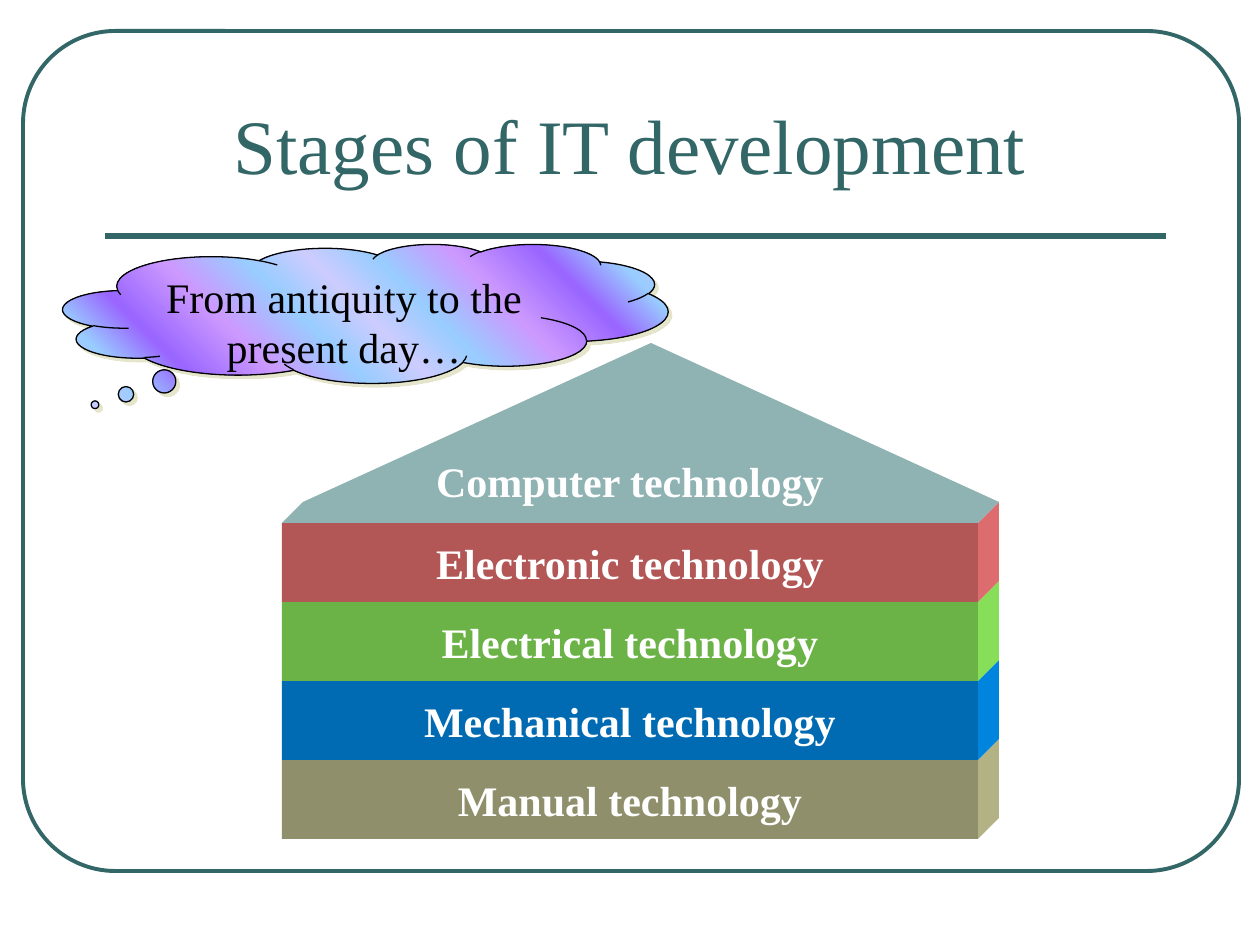
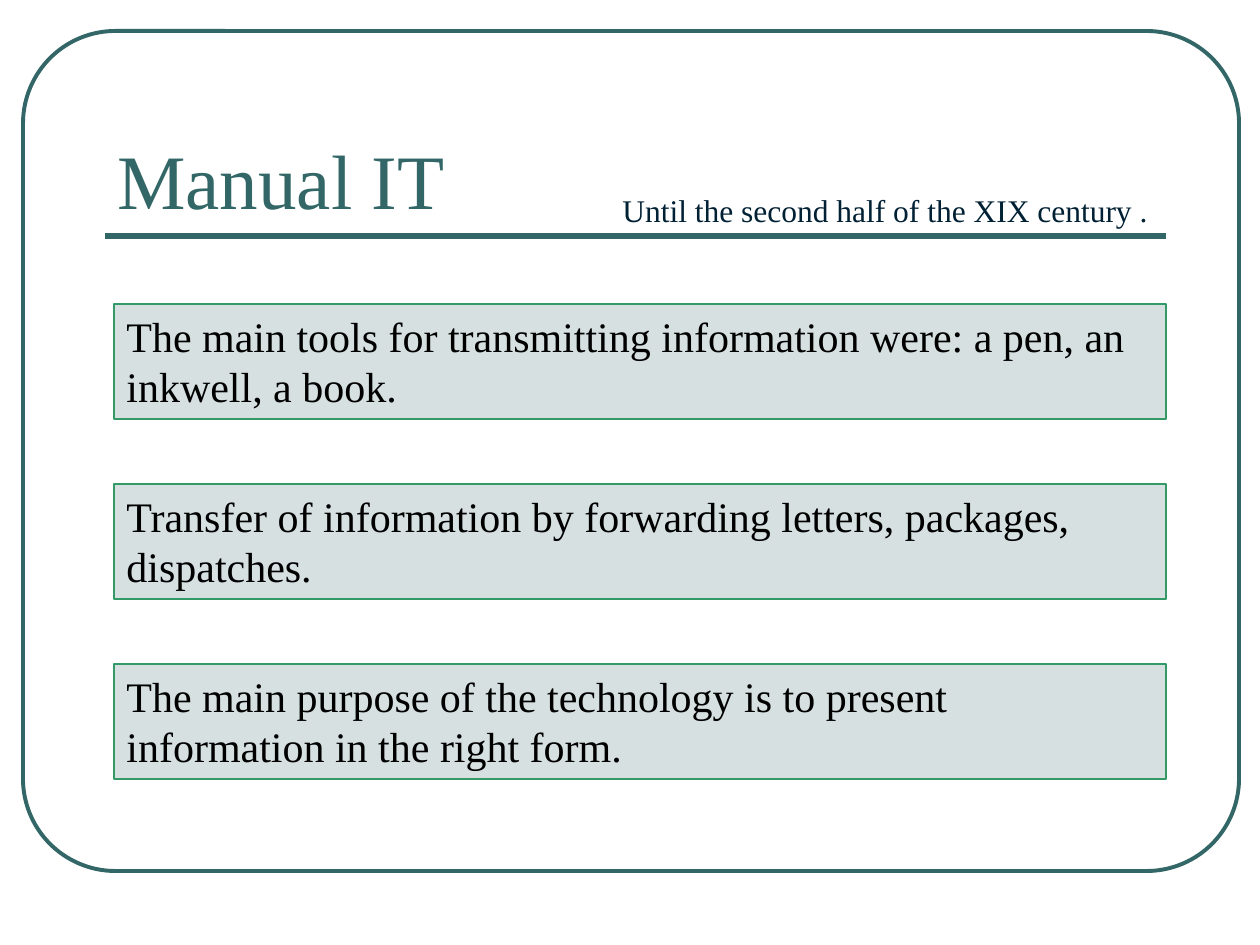
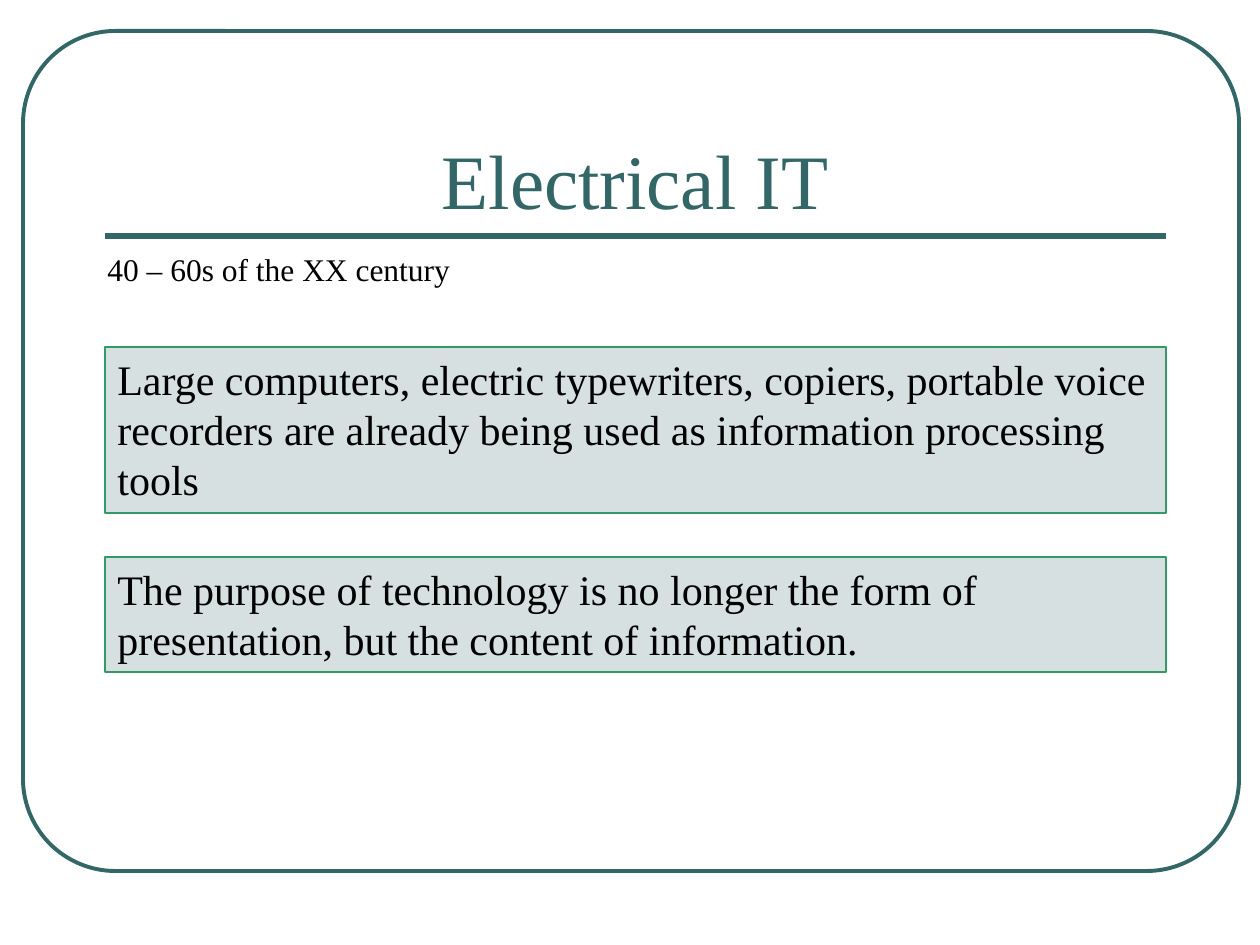
from dataclasses import dataclass

from lxml.etree import SubElement
from pptx import Presentation
from pptx.dml.color import RGBColor
from pptx.enum.shapes import MSO_CONNECTOR, MSO_SHAPE
from pptx.enum.text import MSO_ANCHOR as Anchor, PP_ALIGN as Align
from pptx.oxml.ns import qn
from pptx.util import Pt


@dataclass(frozen=True)
class Theme:
    font: str = "Times New Roman"
    teal: str = "336666"
    ink: str = "000000"
    navy: str = "002033"
    white: str = "FFFFFF"
    note_fill: str = "D6E0E0"
    note_line: str = "339966"
    roof: str = "8FB2B2"
    shade: str = "CCCC99"
    title_size: int = 44
    body_size: int = 24
    caption_size: int = 18


THEME = Theme()
PX = 914400 / 126

# Content: floors from top to bottom with their front and side colours
ROOF_LABEL = "Computer technology"
FLOORS = [
    ("Electronic technology", "B25656", "DD6C6F"),
    ("Electrical technology", "6BB247", "86DE59"),
    ("Mechanical technology", "006BB2", "0085DE"),
    ("Manual technology", "8F8F6B", "B2B285"),
]
CLOUD_TEXT = "From antiquity to the present day…"
CLOUD_STOPS = [
    (0, "CCCCFF"), (9, "99CCFF"), (18, "9966FF"), (30, "CC99FF"),
    (41, "99CCFF"), (50, "CCCCFF"), (59, "99CCFF"), (70, "CC99FF"),
    (82, "9966FF"), (91, "99CCFF"), (100, "CCCCFF"),
]

# Each note is its text and the number of lines it fills
ERAS = [
    dict(
        title="Manual IT", align=Align.LEFT,
        period="Until the second half of the XIX century .",
        period_box=(610, 185, 556, 50), period_color=THEME.navy,
        left=114, top=304, gap=65,
        notes=[
            ("The main tools for transmitting information were: a pen, an inkwell, a book.", 2),
            ("Transfer of information by forwarding letters, packages, dispatches.", 2),
            ("The main purpose of the technology is to present information in the right form.", 2),
        ],
    ),
    dict(
        title="Electrical IT", align=Align.CENTER,
        period="40 – 60s of the XX century",
        period_box=(95, 244, 397, 50), period_color=THEME.ink,
        left=105, top=347, gap=44,
        notes=[
            ("Large computers, electric typewriters, copiers, portable voice recorders "
             "are already being used as information processing tools", 3),
            ("The purpose of technology is no longer the form of presentation, "
             "but the content of information.", 2),
        ],
    ),
]

# Shared layout, in px
FRAME = (23, 31, 1216, 840)
RULE_LEFT, RULE_RIGHT, RULE_Y = 105, 1166, 236
ERA_TITLE = (105, 73, 1061, 158)
STAGES_TITLE = (63, 38, 1134, 158)
CLOUD = (63, 244, 605, 139)
HOUSE_LEFT, HOUSE_RIGHT, EAVES, APEX = 282, 978, 523, 343
FLOOR_HEIGHT, DEPTH = 79, 21
LINE_HEIGHT, NOTE_PADDING = 51, 13


def emu(*lengths):
    return [round(length * PX) for length in lengths]


def paint(shape, fill=None, line=None, width=0.75):
    shape.shadow.inherit = False
    if fill:
        shape.fill.solid()
        shape.fill.fore_color.rgb = RGBColor.from_string(fill)
    else:
        shape.fill.background()
    if line:
        shape.line.color.rgb = RGBColor.from_string(line)
        shape.line.width = Pt(width)
    else:
        shape.line.fill.background()


def write(shape, text, size, color, align=Align.LEFT, anchor=Anchor.TOP, bold=False):
    frame = shape.text_frame
    frame.word_wrap = True
    frame.vertical_anchor = anchor
    paragraph = frame.paragraphs[0]
    paragraph.text = text
    paragraph.alignment = align
    font = paragraph.font
    font.name, font.size, font.bold = THEME.font, Pt(size), bold
    font.color.rgb = RGBColor.from_string(color)


def add_text(slide, box, *style, **options):
    write(slide.shapes.add_textbox(*emu(*box)), *style, **options)


def add_box(slide, box, kind=MSO_SHAPE.RECTANGLE, **colors):
    shape = slide.shapes.add_shape(kind, *emu(*box))
    paint(shape, **colors)
    return shape


def add_outline(slide, points, fill):
    builder = slide.shapes.build_freeform(*points[0], scale=PX)
    builder.add_line_segments(points[1:])
    shape = builder.convert_to_shape()
    paint(shape, fill)
    return shape


def add_framed_slide(deck, title, box, align):
    slide = deck.slides.add_slide(deck.slide_layouts[6])
    border = add_box(slide, FRAME, MSO_SHAPE.ROUNDED_RECTANGLE, line=THEME.teal, width=2.25)
    border.adjustments[0] = 0.11
    rule = slide.shapes.add_connector(
        MSO_CONNECTOR.STRAIGHT, *emu(RULE_LEFT, RULE_Y, RULE_RIGHT, RULE_Y))
    rule.line.color.rgb = RGBColor.from_string(THEME.teal)
    rule.line.width = Pt(3)
    SubElement(rule._element.spPr, qn("a:effectLst"))
    add_text(slide, box, title, THEME.title_size, THEME.teal, align, Anchor.BOTTOM)
    return slide


def add_color(parent, color, alpha=None):
    node = SubElement(parent, qn("a:srgbClr"), val=color)
    if alpha:
        SubElement(node, qn("a:alpha"), val=str(alpha * 1000))


def add_house(slide):
    label = (THEME.body_size, THEME.white, Align.CENTER, Anchor.MIDDLE, True)
    back = HOUSE_RIGHT + DEPTH
    for i, (name, front, side) in reversed(list(enumerate(FLOORS))):
        top = EAVES + i * FLOOR_HEIGHT
        bottom = top + FLOOR_HEIGHT
        add_outline(slide, [(HOUSE_RIGHT, top), (back, top - DEPTH),
                            (back, bottom - DEPTH), (HOUSE_RIGHT, bottom)], side)
        floor = add_box(slide, (HOUSE_LEFT, top, HOUSE_RIGHT - HOUSE_LEFT, FLOOR_HEIGHT),
                        fill=front)
        write(floor, name, *label)

    # The roof label sits in the lowest floor-high band of the roof
    peak = (HOUSE_LEFT + HOUSE_RIGHT) / 2 + DEPTH
    roof = add_outline(slide, [(HOUSE_LEFT, EAVES), (HOUSE_LEFT + DEPTH, EAVES - DEPTH),
                               (peak, APEX), (back, EAVES - DEPTH),
                               (HOUSE_RIGHT, EAVES)], THEME.roof)
    write(roof, ROOF_LABEL, *label)
    frame = roof.text_frame
    frame.margin_left = 0
    frame.margin_top, frame.margin_right = emu(EAVES - FLOOR_HEIGHT - APEX, DEPTH)


def add_cloud(slide):
    cloud = add_box(slide, CLOUD, MSO_SHAPE.CLOUD_CALLOUT, line=THEME.ink)
    cloud.adjustments[0], cloud.adjustments[1] = -0.447, 0.657
    write(cloud, CLOUD_TEXT, THEME.body_size, THEME.ink, Align.CENTER)

    # Striped gradient
    cloud.fill.gradient()
    gradient = cloud._element.spPr.find(qn("a:gradFill"))
    for child in list(gradient):
        gradient.remove(child)
    stops = SubElement(gradient, qn("a:gsLst"))
    for position, color in CLOUD_STOPS:
        add_color(SubElement(stops, qn("a:gs"), pos=str(position * 1000)), color)
    SubElement(gradient, qn("a:lin"), ang=str(315 * 60000), scaled="1")

    # Offset shadow
    effects = cloud._element.spPr.find(qn("a:effectLst"))
    shadow = SubElement(effects, qn("a:outerShdw"), dist=str(Pt(2.8)),
                        dir=str(45 * 60000), algn="ctr", rotWithShape="0")
    add_color(shadow, THEME.shade, alpha=50)


def add_era(deck, era):
    slide = add_framed_slide(deck, era["title"], ERA_TITLE, era["align"])
    add_text(slide, era["period_box"], era["period"], THEME.caption_size, era["period_color"])
    top = era["top"]
    for text, lines in era["notes"]:
        height = NOTE_PADDING + lines * LINE_HEIGHT
        note = add_box(slide, (era["left"], top, RULE_RIGHT - era["left"], height),
                       fill=THEME.note_fill, line=THEME.note_line)
        write(note, text, THEME.body_size, THEME.ink)
        top += height + era["gap"]


def main():
    deck = Presentation()
    deck.slide_width, deck.slide_height = emu(1260, 945)
    stages = add_framed_slide(deck, "Stages of IT development", STAGES_TITLE, Align.CENTER)
    add_house(stages)
    add_cloud(stages)
    for era in ERAS:
        add_era(deck, era)
    deck.save("out.pptx")


if __name__ == "__main__":
    main()
